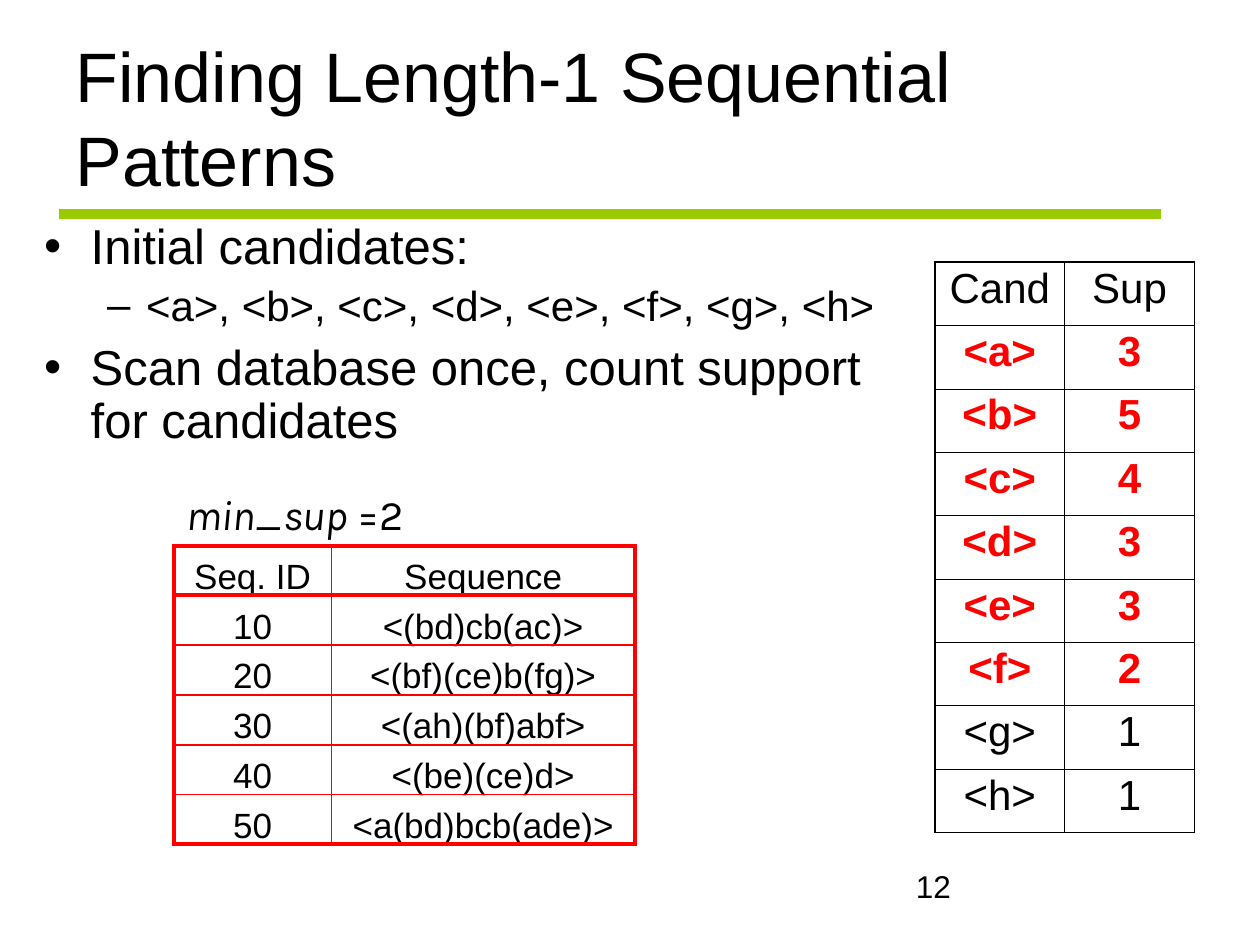
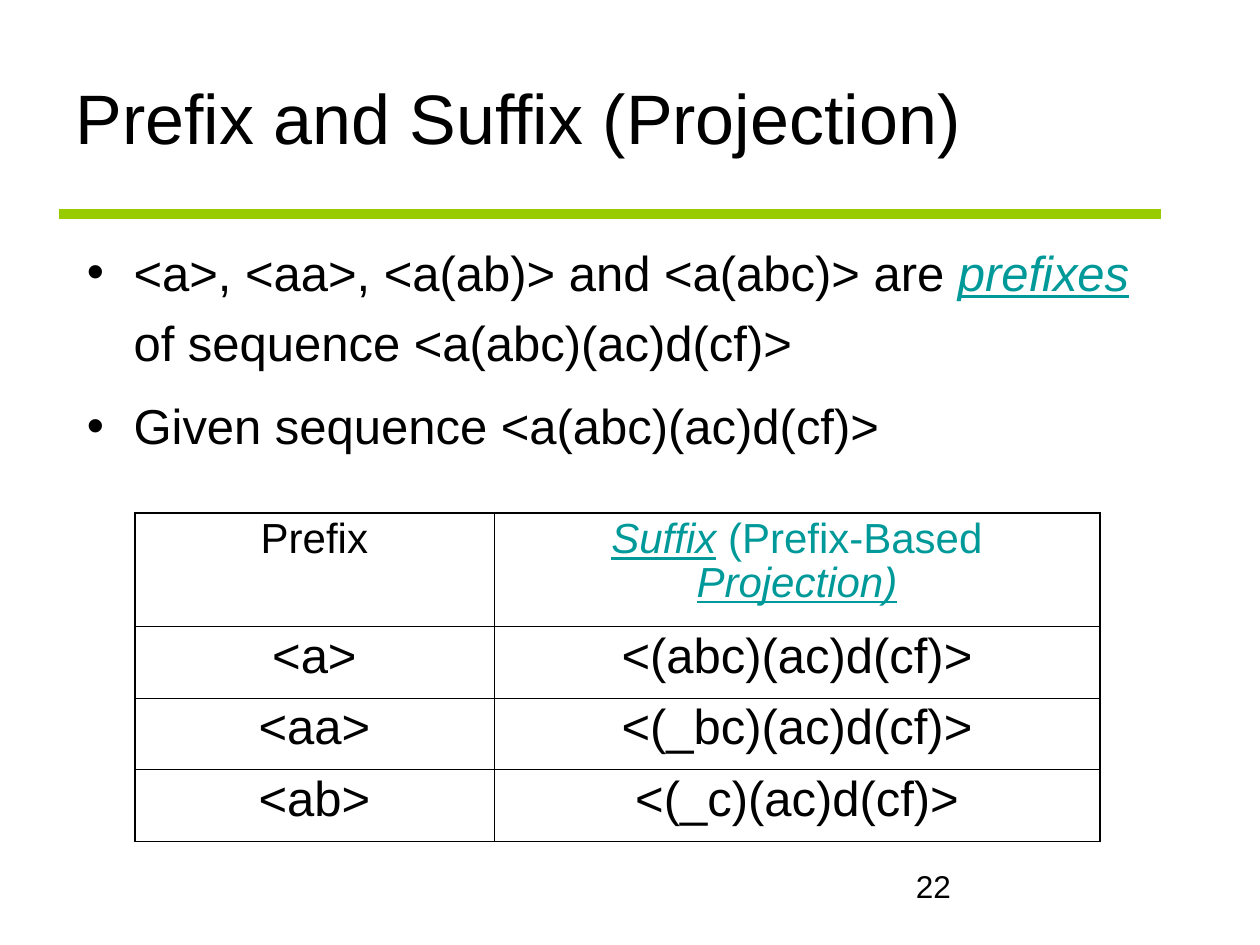
"""Build two slides on sequential pattern mining."""
from lxml.etree import SubElement
from pptx import Presentation
from pptx.dml.color import RGBColor
from pptx.enum.shapes import MSO_CONNECTOR, MSO_SHAPE
from pptx.enum.text import MSO_ANCHOR, MSO_AUTO_SIZE, PP_ALIGN
from pptx.oxml.ns import qn
from pptx.util import Inches, Pt

COLORS = {"text": "000000", "rule": "99CC00", "accent": "FF0000", "term": "009999"}
FONT = "Arial"
TEAL = {"color": "term"}
TERM = {"color": "term", "italic": True, "underline": True}
FREQUENT = {"color": "accent", "bold": True}
BULLETS = [("•", 0.37, -0.37), ("–", 0.81, -0.31)]
FRAME, INNER = 1.08, 0.45
MIN_SUP = 2

SEQUENCES = [("Seq. ID", "Sequence"), ("10", "<(bd)cb(ac)>"), ("20", "<(bf)(ce)b(fg)>"),
             ("30", "<(ah)(bf)abf>"), ("40", "<(be)(ce)d>"), ("50", "<a(bd)bcb(ade)>")]
SUPPORT = {"<a>": 3, "<b>": 5, "<c>": 4, "<d>": 3, "<e>": 3, "<f>": 2, "<g>": 1, "<h>": 1}
SUFFIXES = [("<a>", "<(abc)(ac)d(cf)>"), ("<aa>", "<(_bc)(ac)d(cf)>"),
            ("<ab>", "<(_c)(ac)d(cf)>")]


def rgb(name):
    return RGBColor.from_string(COLORS[name])


def add_runs(p, runs, size, font=FONT):
    """Write a string, or a list of (text, style) pairs, into a paragraph."""
    if isinstance(runs, str):
        runs = [(runs, {})]
    for text, style in runs:
        r = p.add_run()
        r.text = text
        r.font.name, r.font.size = font, Pt(size)
        r.font.color.rgb = rgb(style.get("color", "text"))
        r.font.bold = style.get("bold", False)
        r.font.italic = style.get("italic", False)
        r.font.underline = style.get("underline", False)


def place(sp, box):
    sp.left, sp.top, sp.width, sp.height = map(Inches, box)


def add_line(slide, x1, y1, x2, y2, color, width):
    line = slide.shapes.add_connector(MSO_CONNECTOR.STRAIGHT, *map(Inches, (x1, y1, x2, y2)))
    line.line.color.rgb = rgb(color)
    line.line.width = Pt(width)
    line.line._get_or_add_ln().set("cap", "sq")
    SubElement(line.element.spPr, qn("a:effectLst"))
    return line


def add_rule(slide):
    """Put the green title rule on the layout that the slides share."""
    rule = add_line(slide, 0.51, 1.7, 9.17, 1.7, "rule", 6)
    slide.slide_layout.shapes.element.append(rule.element)


def add_text(slide, box, runs, size, font=FONT):
    tf = slide.shapes.add_textbox(*map(Inches, box)).text_frame
    tf.word_wrap = True
    add_runs(tf.paragraphs[0], runs, size, font)


def add_slide(prs, title, number):
    slide = prs.slides.add_slide(prs.slide_layouts[1])
    place(slide.shapes.title, (0.5, 0.3, 8.97, 1.25))
    tf = slide.shapes.title.text_frame
    tf.auto_size = MSO_AUTO_SIZE.NONE
    tf.vertical_anchor = MSO_ANCHOR.MIDDLE
    p = tf.paragraphs[0]
    p.alignment = PP_ALIGN.LEFT
    add_runs(p, title, 40)
    add_text(slide, (7.17, 6.83, 2.33, 0.52), number, 18)
    return slide


def add_bullets(slide, box, items, spacing):
    """Fill the body placeholder with (level, runs) items."""
    body = slide.placeholders[1]
    place(body, box)
    tf = body.text_frame
    tf.auto_size = MSO_AUTO_SIZE.NONE
    for i, (level, runs) in enumerate(items):
        p = tf.add_paragraph() if i else tf.paragraphs[0]
        char, margin, indent = BULLETS[level]
        pPr = p._p.get_or_add_pPr()
        pPr.set("marL", str(Inches(margin)))
        pPr.set("indent", str(Inches(indent)))
        SubElement(pPr, qn("a:buFont"), typeface=FONT)
        SubElement(pPr, qn("a:buChar"), char=char)
        p.level = level
        p.line_spacing = spacing
        p.space_before = Pt(7 - level if i else 0)
        add_runs(p, runs, 28 - 4 * level)


def add_box(slide, box, text):
    """Add one outlined box of the sequence grid."""
    sp = slide.shapes.add_shape(MSO_SHAPE.RECTANGLE, *map(Inches, box))
    sp.shadow.inherit = False
    sp.fill.background()
    sp.line.color.rgb = rgb("accent")
    sp.line.width = Pt(0.75)
    tf = sp.text_frame
    tf.word_wrap = True
    tf.vertical_anchor = MSO_ANCHOR.TOP
    tf.margin_top, tf.margin_bottom = Inches(0.07), 0
    p = tf.paragraphs[0]
    p.alignment = PP_ALIGN.CENTER
    add_runs(p, text, 20)


def add_sequence_grid(slide):
    """Draw the sequence database as boxes under a net of red lines."""
    xs = [1.38, 2.63, 5.04]
    pitch = 2.37 / len(SEQUENCES)
    ys = [4.33 + i * pitch for i in range(len(SEQUENCES) + 1)]
    for y, row in zip(ys, SEQUENCES):
        for x, right, text in zip(xs, xs[1:], row):
            add_box(slide, (x, y, right - x, pitch), text)
    for y in ys:
        add_line(slide, xs[0], y, xs[-1], y, "accent", 2.25 if y in (*ys[:2], ys[-1]) else 1)
    for x in xs:
        add_line(slide, x, ys[0], x, ys[-1], "accent", 1 if x == xs[1] else 2.25)


def set_borders(cell, widths):
    """Draw left, right, top and bottom cell lines of the given widths."""
    tcPr = cell._tc.get_or_add_tcPr()
    for side, width in zip("LRTB", widths):
        ln = SubElement(tcPr, qn(f"a:ln{side}"), w=str(Pt(width)))
        fill = SubElement(ln, qn("a:solidFill"))
        SubElement(fill, qn("a:srgbClr"), val=COLORS["text"])


def add_grid(slide, left, top, cols, heights, rows, sizes):
    """Add a table with a heavier frame; sizes are for the header and the rest."""
    shape = slide.shapes.add_table(len(rows), len(cols), Inches(left), Inches(top),
                                   Inches(sum(cols)), Inches(sum(heights)))
    table = shape.table
    table.first_row = table.horz_banding = False
    for col, width in zip(table.columns, cols):
        col.width = Inches(width)
    for row, height in zip(table.rows, heights):
        row.height = Inches(height)
    v_lines = [FRAME] + [INNER] * (len(cols) - 1) + [FRAME]
    h_lines = [FRAME] + [INNER] * (len(rows) - 1) + [FRAME]
    for i, row in enumerate(rows):
        for j, runs in enumerate(row):
            cell = table.cell(i, j)
            set_borders(cell, v_lines[j:j + 2] + h_lines[i:i + 2])
            cell.fill.background()
            p = cell.text_frame.paragraphs[0]
            p.alignment = PP_ALIGN.CENTER
            p.line_spacing = 0.93
            add_runs(p, runs, sizes[min(i, 1)])


def support_rows():
    """List candidates with their support, marking the frequent ones."""
    rows = [("Cand", "Sup")]
    for cand, sup in SUPPORT.items():
        style = FREQUENT if sup >= MIN_SUP else {}
        rows.append([[(cand, style)], [(str(sup), style)]])
    return rows


def build_length_one(prs):
    slide = add_slide(prs, "Finding Length-1 Sequential Patterns", "12")
    add_rule(slide)
    add_bullets(slide, (0.25, 1.71, 6.91, 2.94), [
        (0, "Initial candidates:"),
        (1, ", ".join(SUPPORT)),
        (0, "Scan database once, count support for candidates")], 0.9)
    add_sequence_grid(slide)
    add_text(slide, (1.38, 3.83, 2, 0.5),
             [("min_sup ", {"italic": True}), (f"={MIN_SUP}", {})], 24, "Karla")
    add_grid(slide, 7.42, 2.08, [1.03] * 2, [4.53 / 9] * 9, support_rows(), (24, 24))


def build_projection(prs):
    slide = add_slide(prs, "Prefix and Suffix (Projection)", "22")
    add_bullets(slide, (0.59, 1.78, 8.64, 1.85), [
        (0, [("<a>, <aa>, <a(ab)> and <a(abc)> are ", {}), ("prefixes", TERM),
             (" of sequence <a(abc)(ac)d(cf)>", {})]),
        (0, "Given sequence <a(abc)(ac)d(cf)>")], 1.2)
    header = ("Prefix", [("Suffix", TERM), (" (Prefix-Based ", TEAL), ("Projection)", TERM)])
    add_grid(slide, 1.07, 4.07, [2.85, 4.81], [0.9] + [0.57] * 3,
             [header] + SUFFIXES, (24, 28))


def main():
    prs = Presentation()
    prs.slide_width, prs.slide_height = Inches(10), Inches(7.5)
    build_length_one(prs)
    build_projection(prs)
    prs.save("out.pptx")


if __name__ == "__main__":
    main()
